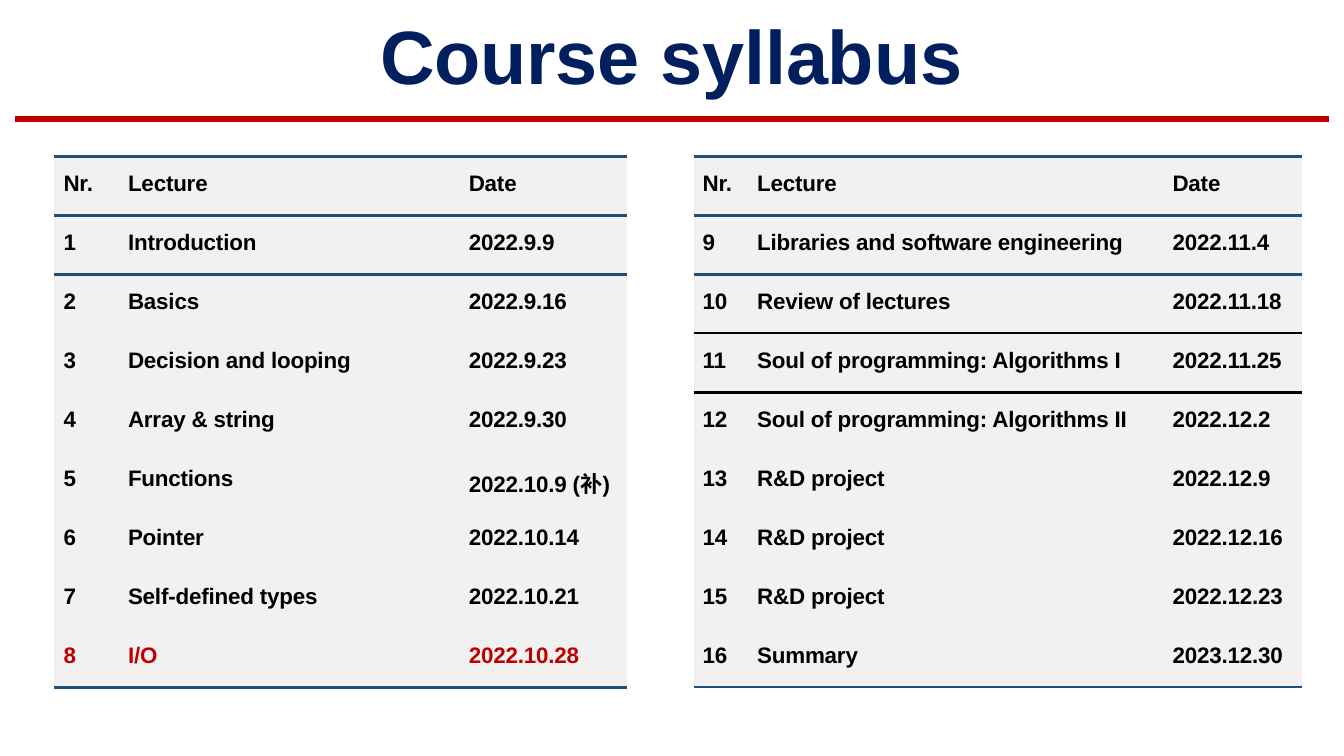
from dataclasses import dataclass
from itertools import groupby

from lxml.etree import SubElement
from pptx import Presentation
from pptx.dml.color import RGBColor
from pptx.enum.shapes import MSO_CONNECTOR
from pptx.enum.text import MSO_ANCHOR, MSO_AUTO_SIZE, PP_ALIGN
from pptx.oxml.ns import qn
from pptx.slide import Slide
from pptx.table import _Cell
from pptx.util import Inches, Pt

HUES = {"navy": "001F5F", "red": "C00000", "blue": "1F4E79", "black": "000000", "grey": "F1F1F1"}
FONT = "Arial"
HAN = "Noto Sans CJK SC"
HEAD = ("Nr.", "Lecture", "Date")
TOP = 1.55
HIGH = 5.27


@dataclass
class Edge:
    hue: str
    width: float = 2.25


@dataclass
class Plan:
    left: float
    cols: tuple[float, ...]
    pads: tuple[float, ...]
    edges: dict[int, Edge]
    first: int
    items: list[tuple[str, str]]
    marked: int = 0


BLUE = Edge("blue")
PLANS = [
    Plan(0.54, (0.56, 2.98, 2.14), (0.09, 0.17, 0.57),
         {0: BLUE, 1: BLUE, 2: BLUE, 9: BLUE}, 1,
         [("Introduction", "2022.9.9"),
          ("Basics", "2022.9.16"),
          ("Decision and looping", "2022.9.23"),
          ("Array & string", "2022.9.30"),
          ("Functions", "2022.10.9 (补)"),
          ("Pointer", "2022.10.14"),
          ("Self-defined types", "2022.10.21"),
          ("I/O", "2022.10.28")], marked=8),
    Plan(6.88, (0.51, 4.05, 1.47), (0.09, 0.12, 0.19),
         {0: BLUE, 1: BLUE, 2: BLUE, 3: Edge("black", 1.5), 4: Edge("black"), 9: Edge("blue", 1.5)}, 9,
         [("Libraries and software engineering", "2022.11.4"),
          ("Review of lectures", "2022.11.18"),
          ("Soul of programming: Algorithms I", "2022.11.25"),
          ("Soul of programming: Algorithms II", "2022.12.2"),
          ("R&D project", "2022.12.9"),
          ("R&D project", "2022.12.16"),
          ("R&D project", "2022.12.23"),
          ("Summary", "2023.12.30")]),
]


def tint(name: str) -> RGBColor:
    """Return a named colour."""
    return RGBColor.from_string(HUES[name])


def add_run(para, text: str, size: float, hue: str) -> None:
    """Add one bold run, with a Chinese face where the text needs it."""
    run = para.add_run()
    run.text = text
    font = run.font
    font.size, font.bold, font.name = Pt(size), True, FONT
    font.color.rgb = tint(hue)
    props = run._r.get_or_add_rPr()
    props.set("spc", "-10")
    if not text.isascii():
        SubElement(props, qn("a:ea"), typeface=HAN)


def add_edge(cell: _Cell, side: str, edge: Edge | None) -> None:
    """Draw or clear one side of a cell."""
    props = cell._tc.get_or_add_tcPr()
    width = Pt(edge.width) if edge else 0
    line = SubElement(props, qn(f"a:ln{side}"), w=str(width))
    if edge:
        fill = SubElement(line, qn("a:solidFill"))
        SubElement(fill, qn("a:srgbClr"), val=HUES[edge.hue])
    else:
        SubElement(line, qn("a:noFill"))


def fill_cell(cell: _Cell, text: str, pad: float, hue: str) -> None:
    """Set the fill, margins and text of a cell."""
    cell.fill.solid()
    cell.fill.fore_color.rgb = tint("grey")
    cell.margin_left = Inches(pad)
    cell.margin_right = cell.margin_bottom = 0
    cell.margin_top = Inches(0.15)
    para = cell.text_frame.paragraphs[0]
    for _, part in groupby(text, str.isascii):
        add_run(para, "".join(part), 16, hue)


def add_plan(slide: Slide, plan: Plan) -> None:
    """Add one half of the syllabus as a table."""
    rows = [HEAD] + [(str(nr), *item) for nr, item in enumerate(plan.items, plan.first)]
    frame = slide.shapes.add_table(len(rows), len(HEAD), Inches(plan.left), Inches(TOP),
                                   Inches(sum(plan.cols)), Inches(HIGH))
    table = frame.table
    table.first_row = table.horz_banding = False
    for col, width in zip(table.columns, plan.cols):
        col.width = Inches(width)
    for r, row in enumerate(rows):
        hue = "red" if row[0] == str(plan.marked) else "black"
        for c, text in enumerate(row):
            cell = table.cell(r, c)
            sides = {"L": None, "R": None, "T": plan.edges.get(r), "B": plan.edges.get(r + 1)}
            for side, edge in sides.items():
                add_edge(cell, side, edge)
            fill_cell(cell, text, plan.pads[c], hue)


def add_title(slide: Slide) -> None:
    """Place and format the title."""
    title = slide.shapes.title
    title.left, title.top = Inches(3.76), Inches(0.08)
    title.width, title.height = Inches(5.82), Inches(0.93)
    frame = title.text_frame
    frame.word_wrap = True
    frame.auto_size = MSO_AUTO_SIZE.SHAPE_TO_FIT_TEXT
    frame.vertical_anchor = MSO_ANCHOR.TOP
    frame.margin_left = frame.margin_top = Inches(0.01)
    frame.margin_right = frame.margin_bottom = 0
    para = frame.paragraphs[0]
    para.alignment = PP_ALIGN.LEFT
    add_run(para, "Course syllabus", 54, "navy")


def add_rule(slide: Slide) -> None:
    """Draw the red rule below the title."""
    rule = slide.shapes.add_connector(MSO_CONNECTOR.STRAIGHT, Inches(0.15), Inches(1.18),
                                      Inches(13.18), Inches(1.18))
    rule.line.color.rgb = tint("red")
    rule.line.width = Pt(4.5)
    SubElement(rule._element.spPr, qn("a:effectLst"))


def main() -> None:
    """Build the slide and save it."""
    deck = Presentation()
    deck.slide_width, deck.slide_height = Inches(13.33), Inches(7.5)
    slide = deck.slides.add_slide(deck.slide_layouts[5])
    add_rule(slide)
    add_title(slide)
    for plan in PLANS:
        add_plan(slide, plan)
    deck.save("out.pptx")


if __name__ == "__main__":
    main()
